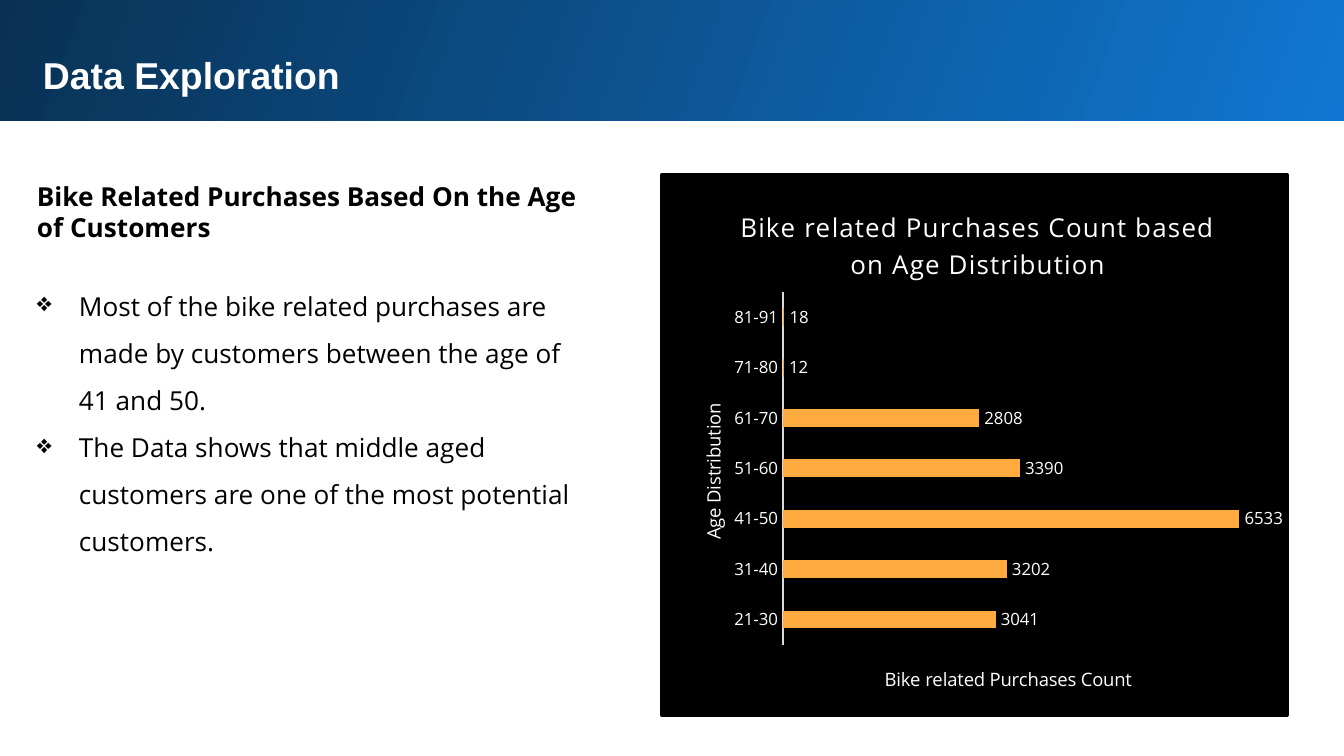
from lxml import etree
from pptx import Presentation
from pptx.chart.data import CategoryChartData
from pptx.dml.color import RGBColor
from pptx.enum.chart import XL_CHART_TYPE, XL_LABEL_POSITION, XL_TICK_LABEL_POSITION, XL_TICK_MARK
from pptx.enum.shapes import MSO_SHAPE
from pptx.oxml import parse_xml
from pptx.oxml.ns import nsdecls, qn
from pptx.util import Pt

PX = 914400 / 134.4
COLORS = {k: RGBColor.from_string(v) for k, v in {
    "light": "1077D2", "dark": "093153", "white": "FFFFFF", "black": "000000",
    "axis": "D9D9D9", "bar": "FFAB40"}.items()}
CHART = (660, 173, 629, 544)


def style(font, size, color, name="Open Sans", bold=False):
    font.size, font.name, font.bold = Pt(size), name, bold
    font.color.rgb = COLORS[color]


def layout(x, y, w=None, h=None):
    left, top, width, height = CHART
    vals = {"x": (x - left) / width, "y": (y - top) / height}
    modes = '<c:xMode val="edge"/><c:yMode val="edge"/>'
    if w:
        vals.update(w=w / width, h=h / height)
        modes = '<c:layoutTarget val="inner"/>' + modes
    body = "".join(f'<c:{k} val="{v:.3f}"/>' for k, v in vals.items())
    return parse_xml(f'<c:layout {nsdecls("c")}><c:manualLayout>{modes}{body}</c:manualLayout></c:layout>')


prs = Presentation()
prs.slide_width, prs.slide_height = int(1344 * PX), int(756 * PX)
s = prs.slides.add_slide(prs.slide_layouts[6])

banner = s.shapes.add_shape(MSO_SHAPE.RECTANGLE, *[int(v * PX) for v in (-3, -3, 1350, 124)])
banner.shadow.inherit = False
banner.line.fill.background()
banner.fill.gradient()
banner.fill.gradient_angle = 160
for stop, color, pos in zip(banner.fill.gradient_stops, ("light", "dark"), (0, 1)):
    stop.color.rgb, stop.position = COLORS[color], pos

frames = []
for box, inset in (((30, 39, 1259, 69), 13), ((30, 173, 567, 394), 7)):
    tf = s.shapes.add_textbox(*[int(v * PX) for v in box]).text_frame
    tf.word_wrap = True
    tf.margin_left = tf.margin_right = tf.margin_top = tf.margin_bottom = int(inset * PX)
    frames.append(tf)

title, body = frames
p = title.paragraphs[0]
p.text = "Data Exploration"
style(p.font, 20, "white", "Arial", True)

p = body.paragraphs[0]
p.text = "Bike Related Purchases Based On the Age of Customers"
style(p.font, 14, "black", bold=True)
p.space_after = Pt(17)
for text in ("Most of the bike related purchases are made by customers between the age of 41 and 50.",
             "The Data shows that middle aged customers are one of the most potential customers."):
    p = body.add_paragraph()
    p.text = text
    p.line_spacing = 1.5
    style(p.font, 14, "black")
    pPr = p._p.get_or_add_pPr()
    pPr.set("marL", str(int(42 * PX)))
    pPr.set("indent", str(int(-42 * PX)))
    bullet = etree.Element(qn("a:buChar"), char="❖")
    pPr.find(qn("a:defRPr")).addprevious(bullet)

data = CategoryChartData()
data.categories = ["21-30", "31-40", "41-50", "51-60", "61-70", "71-80", "81-91"]
data.add_series("Series 1", (3041, 3202, 6533, 3390, 2808, 12, 18))
chart = s.shapes.add_chart(XL_CHART_TYPE.BAR_CLUSTERED, *[int(v * PX) for v in CHART], data).chart
style(chart.font, 10, "white", "Arial")
chart.has_legend = False

cat, val = chart.category_axis, chart.value_axis
cat.major_tick_mark = cat.minor_tick_mark = XL_TICK_MARK.NONE
cat.format.line.color.rgb, cat.format.line.width = COLORS["axis"], Pt(0.75)
style(cat.tick_labels.font, 9, "white")
val.minimum_scale, val.maximum_scale = 0, 7000
val.has_major_gridlines = False
val.major_tick_mark = XL_TICK_MARK.NONE
val.tick_label_position = XL_TICK_LABEL_POSITION.NONE
val.format.line.fill.background()

for owner, text, size, x, y in (
        (chart, "Bike related Purchases Count based on Age Distribution", 14, 734, 201),
        (cat, "Age Distribution", 10, 694, 400),
        (val, "Bike related Purchases Count", 10, 881, 663)):
    heading = owner.chart_title if owner is chart else owner.axis_title
    p = heading.text_frame.paragraphs[0]
    r = p.add_run()
    r.text = text
    style(r.font, size, "white")
    if owner is chart:
        r.font._element.set("spc", "50")
    node = heading._element
    for old in node.findall(qn("c:layout")):
        node.remove(old)
    node.find(qn("c:tx")).addnext(layout(x, y))

plot = chart.plots[0]
plot.gap_width = 182
plot.vary_by_categories = False
fill = plot.series[0].format.fill
fill.solid()
fill.fore_color.rgb = COLORS["bar"]
plot.has_data_labels = True
labels = plot.data_labels
labels.show_value = True
labels.position = XL_LABEL_POSITION.OUTSIDE_END
style(labels.font, 9, "white")

area = chart._chartSpace.chart.plotArea
for old in area.findall(qn("c:layout")):
    area.remove(old)
area.insert(0, layout(782, 291, 492, 355))
chart._chartSpace.chart.addnext(parse_xml(
    f'<c:spPr {nsdecls("c", "a")}><a:solidFill><a:srgbClr val="{COLORS["black"]}"/></a:solidFill>'
    f'<a:ln w="25400"><a:solidFill><a:srgbClr val="{COLORS["black"]}"/></a:solidFill></a:ln></c:spPr>'))

prs.save("out.pptx")
